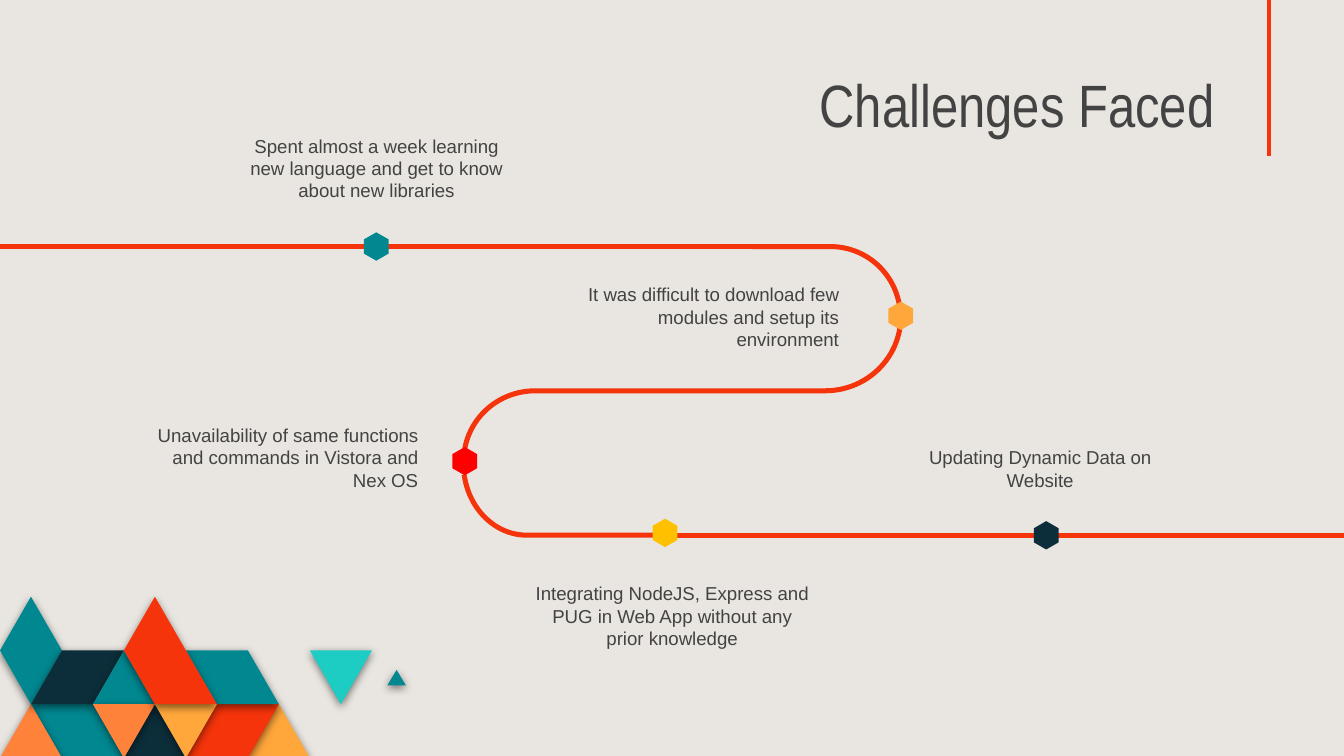
from math import cos, hypot, radians, sin
from typing import NamedTuple

from lxml.etree import SubElement
from pptx import Presentation
from pptx.dml.color import RGBColor
from pptx.enum.shapes import MSO_CONNECTOR
from pptx.enum.text import MSO_ANCHOR, MSO_AUTO_SIZE, PP_ALIGN
from pptx.oxml.ns import qn
from pptx.util import Pt

BACKGROUND = RGBColor(0xE9, 0xE6, 0xE1)
TEXT = RGBColor(0x43, 0x43, 0x43)
RED = RGBColor(0xF5, 0x34, 0x0B)
PURE_RED = RGBColor(0xFF, 0x00, 0x00)
TEAL = RGBColor(0x01, 0x87, 0x90)
AQUA = RGBColor(0x1D, 0xCD, 0xC3)
NAVY = RGBColor(0x0C, 0x2E, 0x3A)
ORANGE = RGBColor(0xFF, 0x82, 0x3B)
AMBER = RGBColor(0xFF, 0xA7, 0x3B)
YELLOW = RGBColor(0xFF, 0xC0, 0x00)

Point = tuple[float, float]


class Tile(NamedTuple):
    color: RGBColor
    corners: list[Point]  # grid column and row


class Bend(NamedTuple):
    tail_x: float  # outer end of the straight part
    center: Point
    radius_x: float
    lane_y: float
    start: float  # degrees, clockwise from the right
    end: float


class Straight(NamedTuple):
    left: float
    right: float
    y: float


class Marker(NamedTuple):
    x: float
    y: float
    color: RGBColor


class Caption(NamedTuple):
    left: float
    top: float
    align: PP_ALIGN
    text: str


# Mosaic grid: half a triangle side wide, one triangle high
COLUMN, ROW, MOSAIC_TOP = 16.6, 28.8, 319.7
TILES = [
    Tile(AMBER, [(10, 3), (9, 2), (8, 3)]),
    Tile(RED, [(9, 2), (7, 2), (6, 3), (8, 3)]),
    Tile(TEAL, [(4, 3), (3, 2), (1, 2), (2, 3)]),
    Tile(ORANGE, [(2, 3), (1, 2), (0, 3)]),
    Tile(NAVY, [(6, 3), (5, 2), (4, 3)]),
    Tile(TEAL, [(9, 2), (8, 1), (6, 1), (7, 2)]),
    Tile(TEAL, [(13.1, 1.65), (12.8, 1.36), (12.5, 1.65)]),
    Tile(AQUA, [(12, 1), (10, 1), (11, 2)]),
    Tile(TEAL, [(2, 1), (1, 0), (0, 1), (1, 2)]),
    Tile(NAVY, [(4, 1), (2, 1), (1, 2), (3, 2)]),
    Tile(TEAL, [(5, 2), (4, 1), (3, 2)]),
    Tile(ORANGE, [(5, 2), (3, 2), (4, 3)]),
    Tile(AMBER, [(7, 2), (5, 2), (6, 3)]),
    Tile(RED, [(7, 2), (5, 0), (4, 1), (5, 2)]),
]

# Road
ROAD_WIDTH = 2.7
TOP_LANE, MIDDLE_LANE, BOTTOM_LANE = 132.1, 209.4, 286.7
STRAIGHTS = [
    Straight(0, 197.3, TOP_LANE),
    Straight(208.1, 406.8, TOP_LANE),
    Straight(358.6, 557.3, BOTTOM_LANE),
    Straight(560.9, 720, BOTTOM_LANE),
]
BENDS = [
    Bend(402.5, (445, 169.9), 37.4, TOP_LANE, -90, -11),
    Bend(295.2, (442.1, 169.7), 40.5, MIDDLE_LANE, 90, 9),
    Bend(295.2, (286.6, 247), 38.2, MIDDLE_LANE, 270, 189),
    Bend(355, (282.2, 248.4), 33.9, BOTTOM_LANE, 90, 171),
]
MARKERS = [
    Marker(201.6, 132.1, TEAL),
    Marker(482.6, 169.2, AMBER),
    Marker(560.5, 286.8, NAVY),
    Marker(249, 247.1, PURE_RED),
    Marker(356.3, 285.5, YELLOW),
]
HEXAGON = [(0, -7.6), (6.6, -3.8), (6.6, 3.8), (0, 7.6), (-6.6, 3.8), (-6.6, -3.8)]

CAPTIONS = [
    Caption(121, 64.8, PP_ALIGN.CENTER,
            "Spent almost a week learning new language and get to know about new libraries"),
    Caption(295.2, 144.4, PP_ALIGN.RIGHT,
            "It was difficult to download few modules and setup its environment"),
    Caption(69.8, 219.8, PP_ALIGN.RIGHT,
            "Unavailability of same functions and commands in Vistora and Nex OS"),
    Caption(476.6, 231.8, PP_ALIGN.CENTER, "Updating Dynamic Data on Website"),
    Caption(279.4, 304.6, PP_ALIGN.CENTER,
            "Integrating NodeJS, Express and PUG in Web App without any prior knowledge"),
]


def draw_polygon(slide, points: list[Point], color: RGBColor):
    corners = [(Pt(x), Pt(y)) for x, y in points]
    builder = slide.shapes.build_freeform(*corners[0])
    builder.add_line_segments(corners[1:], close=True)
    shape = builder.convert_to_shape()
    shape.shadow.inherit = False
    shape.fill.solid()
    shape.fill.fore_color.rgb = color
    shape.line.fill.background()
    return shape


def draw_tile(slide, tile: Tile) -> None:
    points = [(column * COLUMN, MOSAIC_TOP + row * ROW) for column, row in tile.corners]
    shape = draw_polygon(slide, points, tile.color)
    effects = shape._element.spPr.find(qn("a:effectLst"))
    shadow = SubElement(effects, qn("a:outerShdw"), blurRad=str(Pt(4.5)), dist=str(Pt(1.5)),
                        dir="5400000", algn="bl", rotWithShape="0")
    black = SubElement(shadow, qn("a:srgbClr"), val="000000")
    SubElement(black, qn("a:alpha"), val="50000")


def draw_band(slide, center_line: list[Point]) -> None:
    """Fill a strip of road width around a centre line."""
    left_edge, right_edge = [], []
    last = len(center_line) - 1
    for index, (x, y) in enumerate(center_line):
        x1, y1 = center_line[max(index - 1, 0)]
        x2, y2 = center_line[min(index + 1, last)]
        half = ROAD_WIDTH / 2 / hypot(x2 - x1, y2 - y1)
        offset_x, offset_y = (y1 - y2) * half, (x2 - x1) * half
        left_edge.append((x + offset_x, y + offset_y))
        right_edge.append((x - offset_x, y - offset_y))
    draw_polygon(slide, left_edge + right_edge[::-1], RED)


def draw_bend(slide, bend: Bend, steps: int = 24) -> None:
    center_x, center_y = bend.center
    radius_y = abs(bend.lane_y - center_y)
    line = [(bend.tail_x, bend.lane_y)]
    for step in range(steps + 1):
        angle = radians(bend.start + (bend.end - bend.start) * step / steps)
        line.append((center_x + bend.radius_x * cos(angle), center_y + radius_y * sin(angle)))
    draw_band(slide, line)


def set_text(shape, text: str, align: PP_ALIGN, font: str, size: float) -> None:
    frame = shape.text_frame
    frame.word_wrap = True
    frame.auto_size = MSO_AUTO_SIZE.NONE
    frame.margin_left = frame.margin_right = frame.margin_top = frame.margin_bottom = Pt(7.2)
    paragraph = frame.paragraphs[0]
    paragraph.alignment = align
    run = paragraph.add_run()
    run.text = text
    run.font.name = font
    run.font.size = Pt(size)
    run.font.color.rgb = TEXT


def draw_caption(slide, caption: Caption) -> None:
    box = slide.shapes.add_textbox(Pt(caption.left), Pt(caption.top), Pt(161.3), Pt(45.4))
    set_text(box, caption.text, caption.align, "Arial", 10)


def draw_title(slide) -> None:
    title = slide.shapes.title
    title.left, title.top, title.width, title.height = Pt(360), Pt(36.7), Pt(298), Pt(45.4)
    set_text(title, "Challenges Faced", PP_ALIGN.RIGHT, "Arial Narrow", 32)
    title.text_frame.vertical_anchor = MSO_ANCHOR.BOTTOM
    accent = slide.shapes.add_connector(
        MSO_CONNECTOR.STRAIGHT, Pt(679.7), Pt(0), Pt(679.7), Pt(83.5))
    accent.line.color.rgb = RED
    accent.line.width = Pt(2.25)
    SubElement(accent._element.spPr, qn("a:effectLst"))


def main() -> None:
    presentation = Presentation()
    presentation.slide_width, presentation.slide_height = Pt(720), Pt(405)
    slide = presentation.slides.add_slide(presentation.slide_layouts[0])
    subtitle = slide.placeholders[1]._element
    subtitle.getparent().remove(subtitle)
    slide.background.fill.solid()
    slide.background.fill.fore_color.rgb = BACKGROUND

    for tile in TILES:
        draw_tile(slide, tile)
    draw_title(slide)
    for left, right, y in STRAIGHTS:
        draw_band(slide, [(left, y), (right, y)])
    for bend in BENDS:
        draw_bend(slide, bend)
    for marker in MARKERS:
        draw_polygon(slide, [(marker.x + x, marker.y + y) for x, y in HEXAGON], marker.color)
    for caption in CAPTIONS:
        draw_caption(slide, caption)
    presentation.save("out.pptx")


if __name__ == "__main__":
    main()
